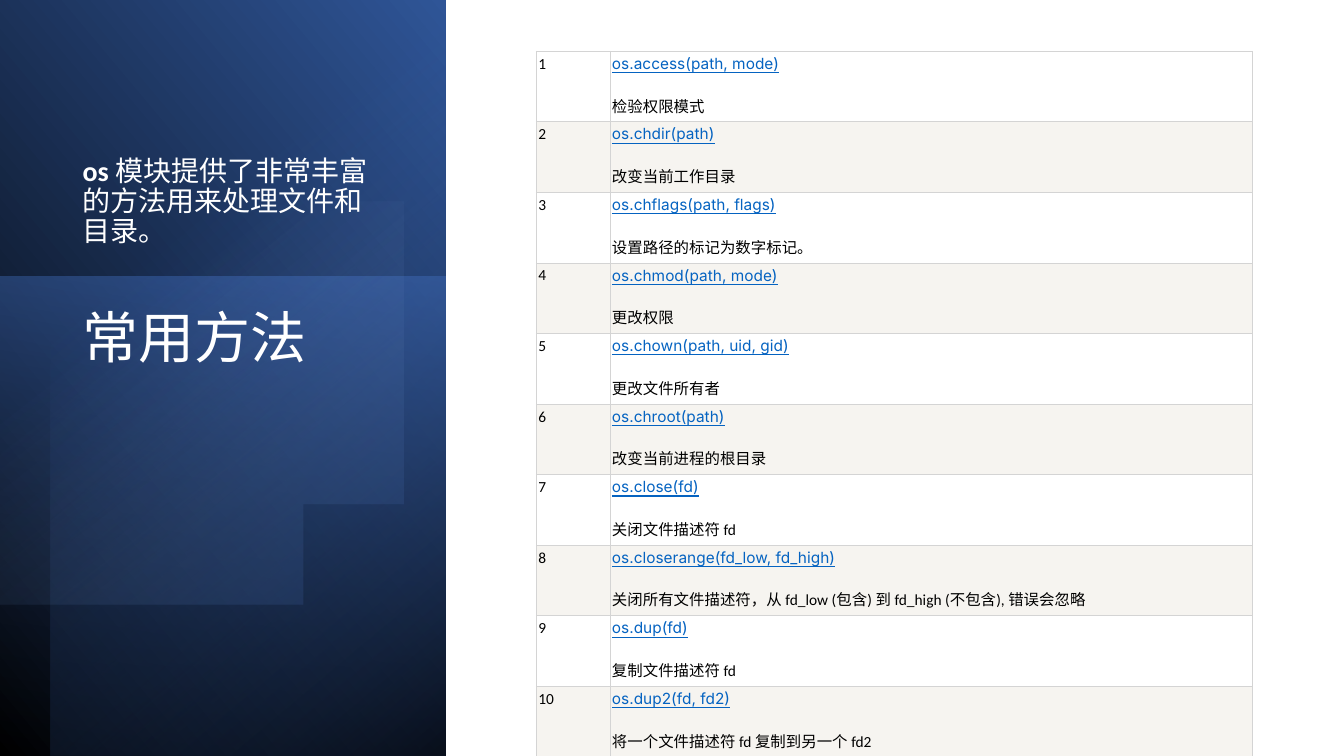
from lxml import etree
from pptx import Presentation
from pptx.dml.color import RGBColor
from pptx.enum import shapes, text
from pptx.oxml.ns import qn
from pptx.util import Inches, Pt

WHITE = RGBColor(0xFF, 0xFF, 0xFF)
BLACK = RGBColor(0, 0, 0)
LINK = RGBColor(0x05, 0x63, 0xC1)
BAND = RGBColor(0xF6, 0xF4, 0xF0)
GRID = RGBColor(0xD4, 0xD4, 0xD4)
NAVY = RGBColor(0x20, 0x38, 0x64)
DEEP_BLUE = RGBColor(0x2F, 0x55, 0x97)
BLUE = RGBColor(0x44, 0x72, 0xC4)
PALE_BLUE = RGBColor(0x8F, 0xAA, 0xDC)

TITLE = "常用方法"
INTRO = [("os ", True), ("模块提供了非常丰富的方法用来处理文件和目录。", False)]
METHODS = [
    ("os.access(path, mode)", "检验权限模式"),
    ("os.chdir(path)", "改变当前工作目录"),
    ("os.chflags(path, flags)", "设置路径的标记为数字标记。"),
    ("os.chmod(path, mode)", "更改权限"),
    ("os.chown(path, uid, gid)", "更改文件所有者"),
    ("os.chroot(path)", "改变当前进程的根目录"),
    ("os.close(fd)", "关闭文件描述符 fd"),
    ("os.closerange(fd_low, fd_high)",
     "关闭所有文件描述符，从 fd_low (包含) 到 fd_high (不包含), 错误会忽略"),
    ("os.dup(fd)", "复制文件描述符 fd"),
    ("os.dup2(fd, fd2)", "将一个文件描述符 fd 复制到另一个 fd2"),
]
COLUMNS = [0.73, 6.37]
ROW_HEIGHT = 0.7

# box, rotation, flipped, gradient stops (position %, colour, opacity %), angle
PANELS = [
    ((-1.55, 1.55, 7.52, 4.42), 90, True,
     [(0, BLACK, 100), (100, DEEP_BLUE, 100)], 310),
    ((-0.17, 2.91, 4.76, 4.42), 270, False,
     [(0, BLUE, 50), (100, NAVY, 0)], 190),
    ((-1.29, 1.79, 7.5, 3.92), 270, True,
     [(0, BLACK, 59), (69, BLUE, 0)], 220),
]
DISC_START = (1.43, 0.84)
DISC_CURVES = [
    [(1.6, 0.84), (1.78, 0.86), (1.96, 0.89)],
    [(3.38, 1.19), (4.29, 2.58), (4, 4)],
    [(3.71, 5.42), (2.32, 6.34), (0.9, 6.05)],
    [(0.63, 5.99), (0.38, 5.9), (0.15, 5.77)],
    [(0, 5.68), (0, 5.68), (0, 5.68)],
    [(0, 1.26), (0, 1.26), (0, 1.26)],
    [(0.2, 1.15), (0.2, 1.15), (0.2, 1.15)],
    [(0.57, 0.95), (0.99, 0.84), (1.43, 0.84)],
]
DISC_STOPS = [(39, PALE_BLUE, 0), (100, DEEP_BLUE, 26)]
CURVE_STEPS = 24


def add_run(p, content, size=11, color=BLACK, font="Calibri", bold=False,
            underline=False):
    r = p.add_run()
    r.text = content
    f = r.font
    f.size, f.name, f.bold, f.underline = Pt(size), font, bold, underline
    f.color.rgb = color


def add_text(s, box, runs, size, anchor, space_before=0):
    tf = s.shapes.add_textbox(*map(Inches, box)).text_frame
    tf.word_wrap = True
    tf.vertical_anchor = anchor
    p = tf.paragraphs[0]
    p.line_spacing = 0.9
    p.space_before = Pt(space_before)
    for content, bold in runs:
        add_run(p, content, size=size, color=WHITE, bold=bold)


def paint_gradient(sp, stops, angle):
    """Fill with a linear gradient; the angle runs clockwise in degrees."""
    sp.shadow.inherit = False
    sp.line.fill.background()
    sp.fill.gradient()
    sp.fill.gradient_angle = 360 - angle
    stop_list = sp._element.spPr.find(qn("a:gradFill")).find(qn("a:gsLst"))
    for old in list(stop_list):
        stop_list.remove(old)
    for position, color, opacity in stops:
        stop = etree.SubElement(stop_list, qn("a:gs"), pos=str(position * 1000))
        clr = etree.SubElement(stop, qn("a:srgbClr"), val=str(color))
        if opacity < 100:
            etree.SubElement(clr, qn("a:alpha"), val=str(opacity * 1000))


def curve_points(start, curves):
    """Sample a chain of cubic curves."""
    points = []
    for c1, c2, end in curves:
        steps = 1 if c1 == end else CURVE_STEPS
        for i in range(1, steps + 1):
            t = i / steps
            weights = ((1 - t) ** 3, 3 * t * (1 - t) ** 2,
                       3 * t * t * (1 - t), t ** 3)
            points.append(tuple(
                sum(w * pt[axis] for w, pt in zip(weights, (start, c1, c2, end)))
                for axis in (0, 1)))
        start = end
    return points


def add_background(s):
    for box, rotation, flipped, stops, angle in PANELS:
        sp = s.shapes.add_shape(shapes.MSO_SHAPE.RECTANGLE, *map(Inches, box))
        sp.rotation = rotation
        if flipped:
            sp._element.spPr.find(qn("a:xfrm")).set("flipH", "1")
        paint_gradient(sp, stops, angle)
    outline = s.shapes.build_freeform(*DISC_START, scale=Inches(1))
    outline.add_line_segments(curve_points(DISC_START, DISC_CURVES))
    paint_gradient(outline.convert_to_shape(), DISC_STOPS, 52)


def style_cell(cell, fill):
    cell.margin_left = cell.margin_right = Inches(0.02)
    cell.margin_top = cell.margin_bottom = Inches(0.03)
    props = cell._tc.get_or_add_tcPr()
    for side in ("lnL", "lnR", "lnT", "lnB"):
        ln = etree.SubElement(props, qn("a:" + side), w=str(Pt(0.75)))
        solid = etree.SubElement(ln, qn("a:solidFill"))
        etree.SubElement(solid, qn("a:srgbClr"), val=str(GRID))
    cell.fill.solid()
    cell.fill.fore_color.rgb = fill


def add_methods(s):
    table = s.shapes.add_table(
        len(METHODS), len(COLUMNS), Inches(5.32), Inches(0.51),
        Inches(sum(COLUMNS)), Inches(ROW_HEIGHT * len(METHODS))).table
    table.first_row = table.horz_banding = False
    for column, width in zip(table.columns, COLUMNS):
        column.width = Inches(width)
    for i, (call, meaning) in enumerate(METHODS):
        table.rows[i].height = Inches(ROW_HEIGHT)
        number, method = table.cell(i, 0), table.cell(i, 1)
        for cell in (number, method):
            style_cell(cell, BAND if i % 2 else WHITE)
        add_run(number.text_frame.paragraphs[0], str(i + 1))
        add_run(method.text_frame.paragraphs[0], call, font="Inter",
                color=LINK, underline=True)
        p = method.text_frame.add_paragraph()
        p.space_before = Pt(15)
        add_run(p, meaning)


def main():
    prs = Presentation()
    prs.slide_width, prs.slide_height = Inches(13.33), Inches(7.5)
    s = prs.slides.add_slide(prs.slide_layouts[6])
    add_background(s)
    add_text(s, (0.72, 3.03, 3.15, 3.36), [(TITLE, False)], 40,
             text.MSO_ANCHOR.TOP)
    add_text(s, (0.72, 0.88, 3.19, 1.63), INTRO, 20,
             text.MSO_ANCHOR.BOTTOM, space_before=10)
    add_methods(s)
    prs.save("out.pptx")


if __name__ == "__main__":
    main()
